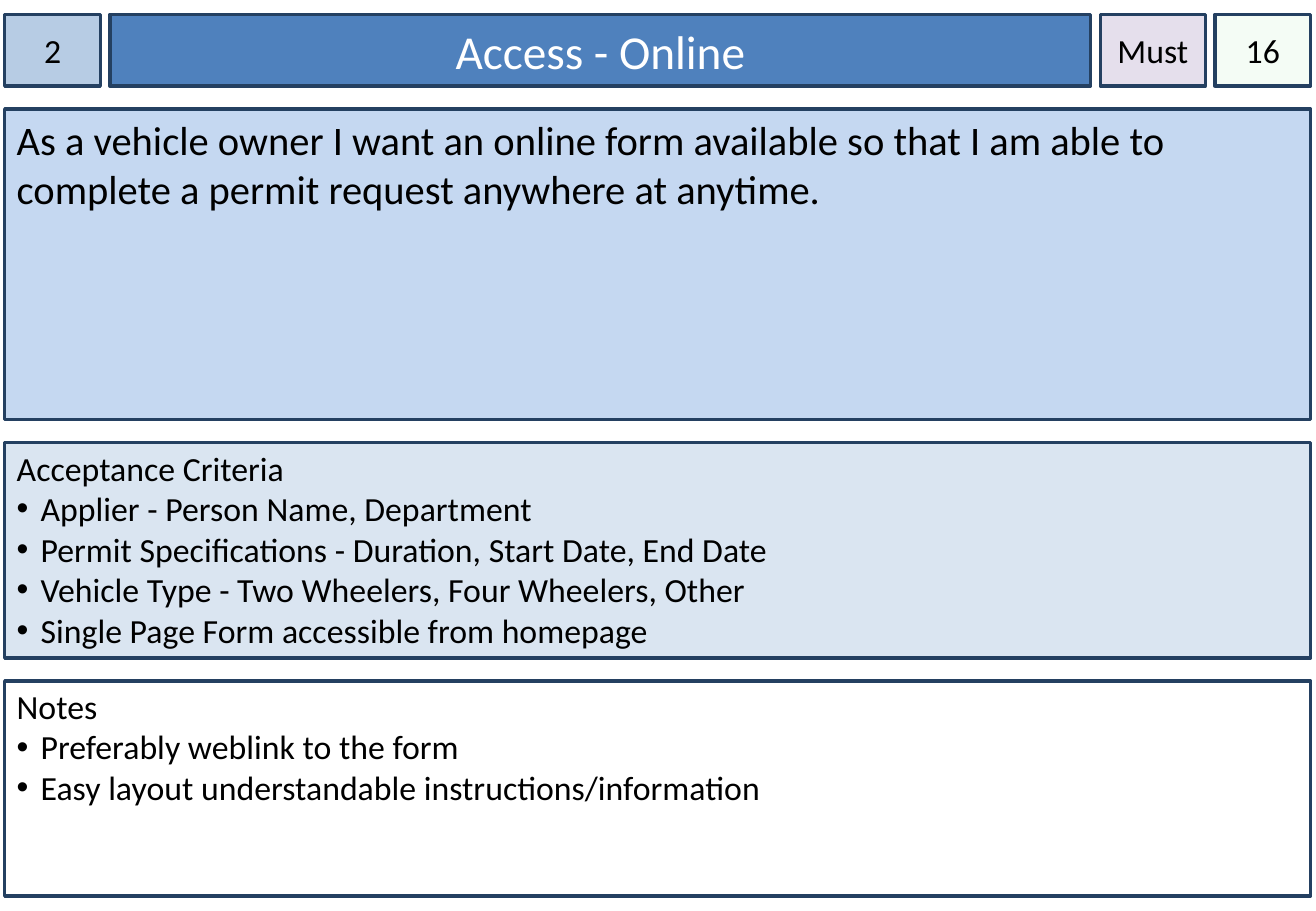
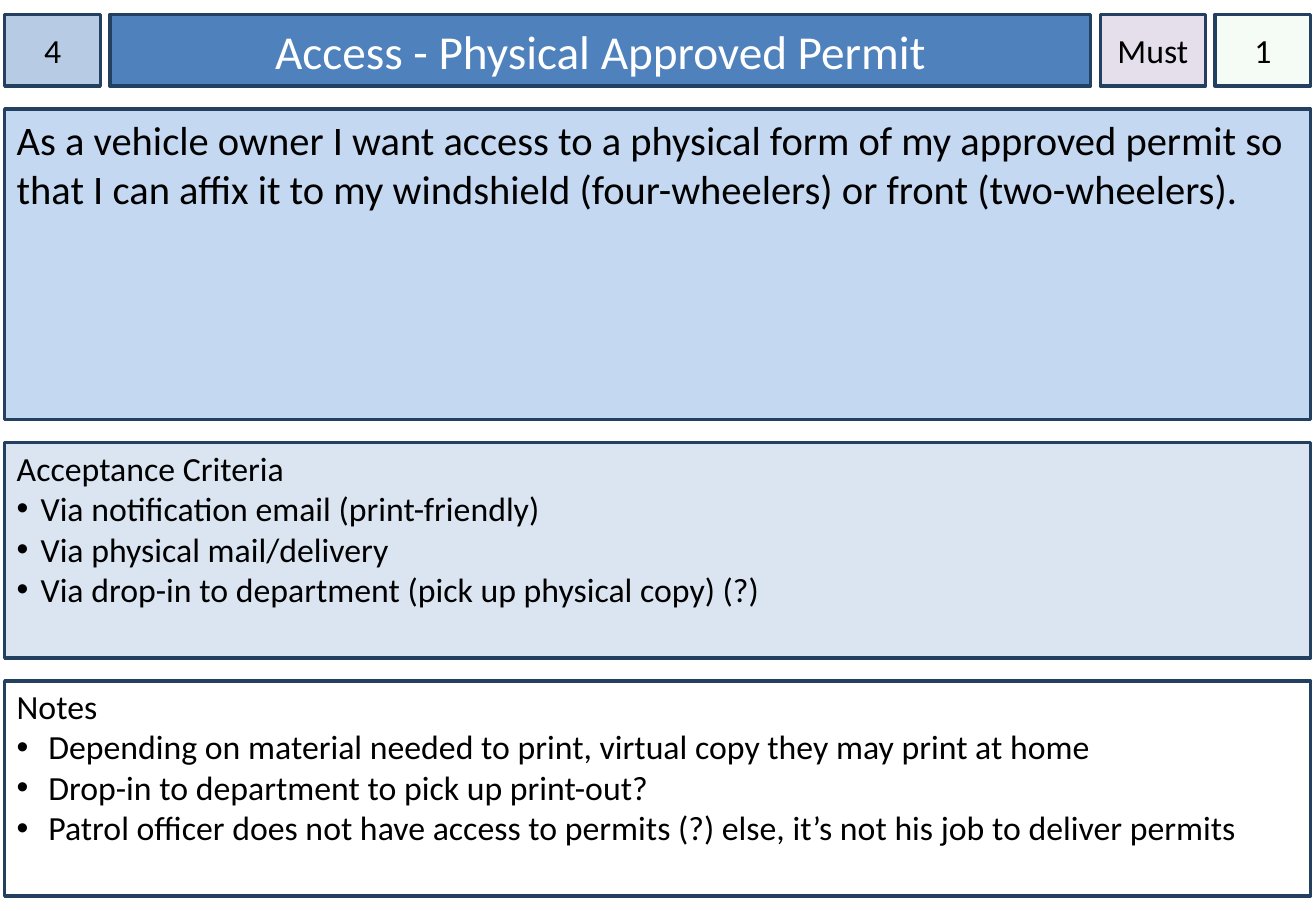
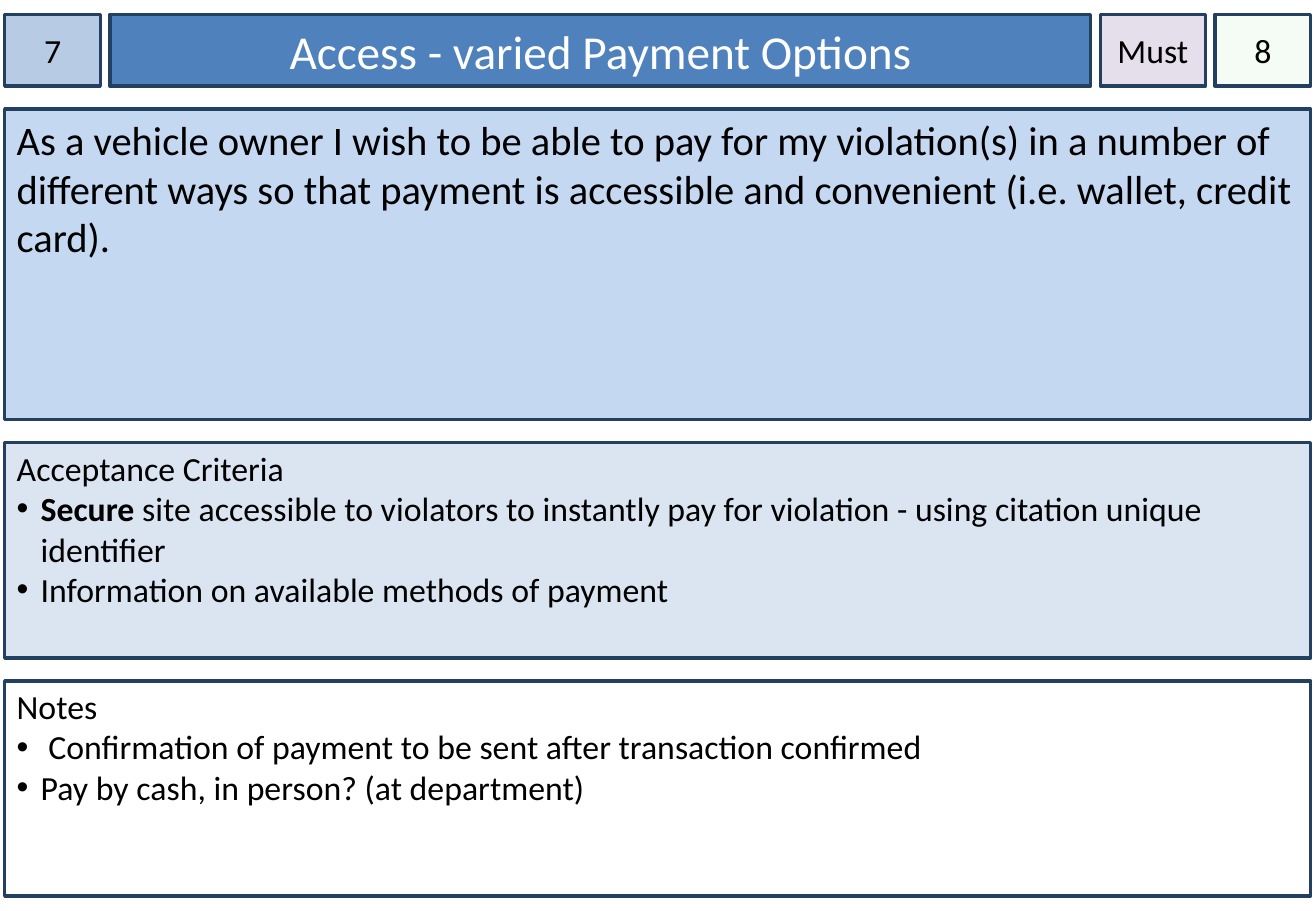
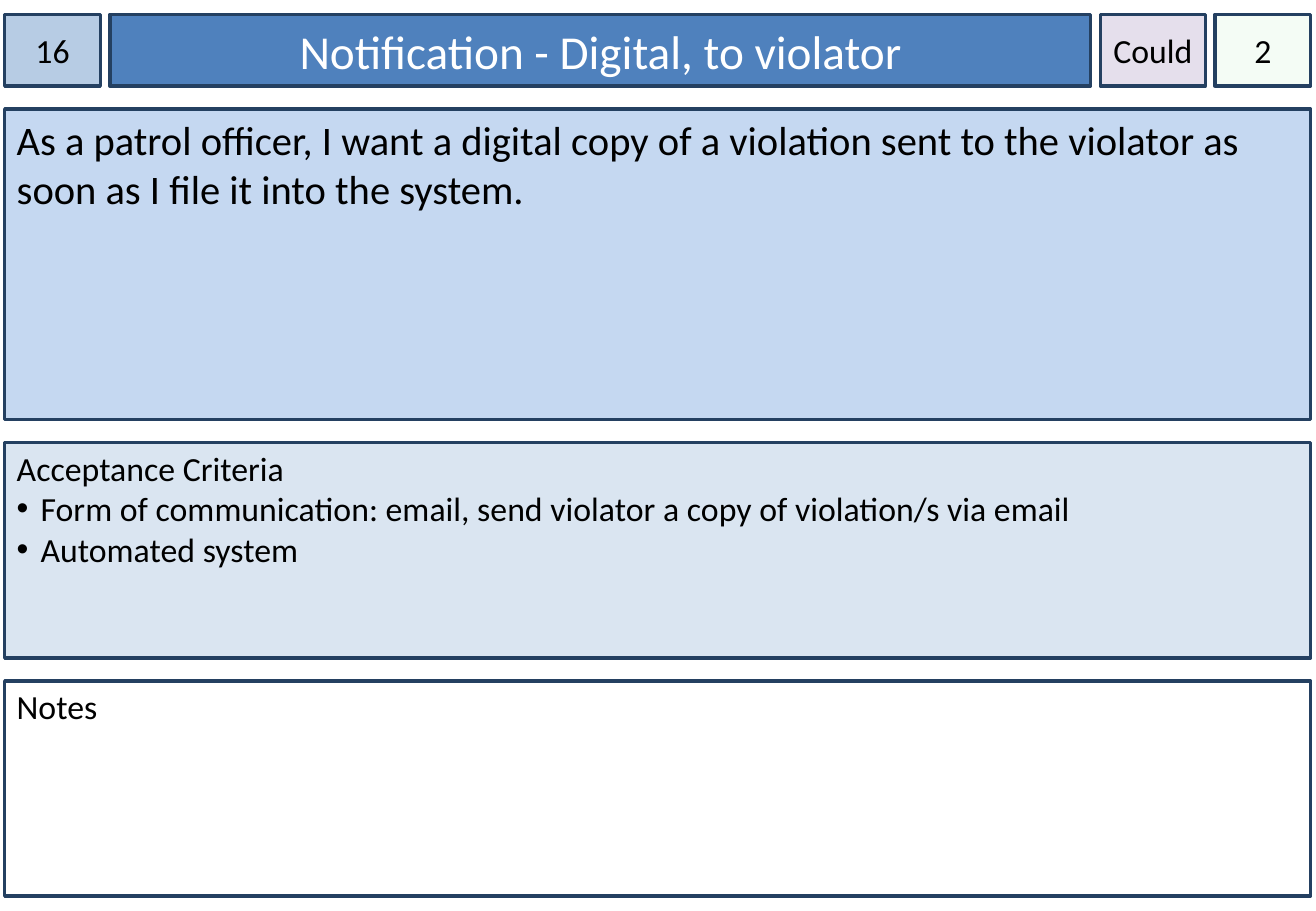
import dataclasses

import lxml.etree
import pptx
import pptx.dml.color
import pptx.enum.shapes
import pptx.enum.text
import pptx.oxml.ns
import pptx.util

Cm = pptx.util.Cm
ALIGN = pptx.enum.text.PP_ALIGN
ANCHOR = pptx.enum.text.MSO_ANCHOR


@dataclasses.dataclass(frozen=True)
class Theme:
    # Colours
    outline: str = "244061"
    number: str = "B7CCE4"
    title: str = "4F81BD"
    priority: str = "E5DFEC"
    estimate: str = "CCF0CD"
    story: str = "C5D8F1"
    criteria: str = "DAE5F1"
    paper: str = "FFFFFF"
    ink: str = "000000"
    # Type
    font: str = "Calibri"
    title_size: int = 28
    story_size: int = 24
    body_size: int = 20


@dataclasses.dataclass(frozen=True)
class Bullet:
    text: str
    lead: str = ""  # bold opening words
    indent: float = 0.5


@dataclasses.dataclass(frozen=True)
class Story:
    number: str
    title: str
    priority: str
    estimate: str
    text: str
    criteria: tuple
    notes: tuple = ()


THEME = Theme()

# Grid in centimetres
PAGE_WIDTH, PAGE_HEIGHT = 27.51, 19.05
LEFT, TOP = 0.1, 0.3
COLUMN_GAP, ROW_GAP = 0.2, 0.48
HEADER_WIDTHS = (2.0, 20.5, 2.2, 2.0)
FULL_WIDTH = sum(HEADER_WIDTHS) + COLUMN_GAP * (len(HEADER_WIDTHS) - 1)
ROW_HEIGHTS = (1.5, 6.5, 4.5, 4.5)


def starts(first, lengths, gap):
    """Return the start of each length, laid end to end with equal gaps."""
    return [first + sum(lengths[:i]) + gap * i for i in range(len(lengths))]


def rgb(colour):
    return pptx.dml.color.RGBColor.from_string(colour)


def add_span(para, text, size=THEME.body_size, colour=THEME.ink, bold=False):
    span = para.add_run()
    span.text = text
    span.font.name = THEME.font
    span.font.size = pptx.util.Pt(size)
    span.font.bold = bold
    span.font.color.rgb = rgb(colour)


def add_element(parent, tag, **attributes):
    return lxml.etree.SubElement(parent, pptx.oxml.ns.qn(tag), **attributes)


class CardDeck:
    def __init__(self):
        self.deck = pptx.Presentation()
        self.deck.slide_width = Cm(PAGE_WIDTH)
        self.deck.slide_height = Cm(PAGE_HEIGHT)
        self.page = None

    def add_page(self):
        self.page = self.deck.slides.add_slide(self.deck.slide_layouts[6])

    def add_panel(self, left, top, width, height, fill, opacity=100,
                  anchor=ANCHOR.TOP, side=0.25, inset_top=0.13):
        """Add an outlined rectangle and return its text frame."""
        box = self.page.shapes.add_shape(
            pptx.enum.shapes.MSO_SHAPE.RECTANGLE,
            Cm(left), Cm(top), Cm(width), Cm(height))
        box.shadow.inherit = False
        box.fill.solid()
        box.fill.fore_color.rgb = rgb(fill)
        if opacity < 100:
            colour = box.fill._xPr.find(".//" + pptx.oxml.ns.qn("a:srgbClr"))
            add_element(colour, "a:alpha", val=str(opacity * 1000))
        box.line.color.rgb = rgb(THEME.outline)
        box.line.width = pptx.util.Pt(2)
        frame = box.text_frame
        frame.word_wrap = True
        frame.vertical_anchor = anchor
        frame.margin_left = frame.margin_right = Cm(side)
        frame.margin_top, frame.margin_bottom = Cm(inset_top), Cm(0.13)
        frame.paragraphs[0].alignment = ALIGN.LEFT
        return frame

    def add_label(self, left, width, text, fill, side=0, opacity=100, **style):
        """Add a centred box in the header row."""
        frame = self.add_panel(left, TOP, width, ROW_HEIGHTS[0], fill,
                               opacity, ANCHOR.MIDDLE, side)
        para = frame.paragraphs[0]
        para.alignment = ALIGN.CENTER
        add_span(para, text, **style)

    def add_bullet(self, frame, bullet):
        para = frame.add_paragraph()
        para.alignment = ALIGN.LEFT
        properties = para._p.get_or_add_pPr()
        properties.set("marL", str(Cm(bullet.indent)))
        properties.set("indent", str(-Cm(bullet.indent)))
        colour = add_element(properties, "a:buClr")
        add_element(colour, "a:srgbClr", val=THEME.ink)
        add_element(properties, "a:buFont", typeface="Arial")
        add_element(properties, "a:buChar", char="•")
        if bullet.lead:
            add_span(para, bullet.lead, bold=True)
        add_span(para, bullet.text)

    def add_list(self, top, height, heading, bullets, fill):
        frame = self.add_panel(LEFT, top, FULL_WIDTH, height, fill,
                               inset_top=0.1)
        add_span(frame.paragraphs[0], heading)
        for bullet in bullets:
            self.add_bullet(frame, bullet)

    def add_story(self, story):
        self.add_page()
        # Header row
        labels = (
            dict(text=story.number, fill=THEME.number),
            dict(text=story.title, fill=THEME.title, side=0.25,
                 size=THEME.title_size, colour=THEME.paper),
            dict(text=story.priority, fill=THEME.priority),
            dict(text=story.estimate, fill=THEME.estimate, opacity=20),
        )
        lefts = starts(LEFT, HEADER_WIDTHS, COLUMN_GAP)
        for left, width, label in zip(lefts, HEADER_WIDTHS, labels):
            self.add_label(left, width, **label)
        # Story, criteria and notes
        _, story_top, criteria_top, notes_top = starts(TOP, ROW_HEIGHTS, ROW_GAP)
        _, story_height, criteria_height, notes_height = ROW_HEIGHTS
        frame = self.add_panel(LEFT, story_top, FULL_WIDTH, story_height,
                               THEME.story)
        add_span(frame.paragraphs[0], story.text, size=THEME.story_size)
        self.add_list(criteria_top, criteria_height, "Acceptance Criteria",
                      story.criteria, THEME.criteria)
        self.add_list(notes_top, notes_height, "Notes", story.notes, THEME.paper)


WIDE = 0.66  # deeper bullet indent

STORIES = (
    Story(
        "2", "Access - Online", "Must", "16",
        "As a vehicle owner I want an online form available so that I am able "
        "to complete a permit request anywhere at anytime.",
        criteria=(
            Bullet("Applier - Person Name, Department"),
            Bullet("Permit Specifications - Duration, Start Date, End Date"),
            Bullet("Vehicle Type - Two Wheelers, Four Wheelers, Other"),
            Bullet("Single Page Form accessible from homepage"),
        ),
        notes=(
            Bullet("Preferably weblink to the form"),
            Bullet("Easy layout understandable instructions/information"),
        ),
    ),
    Story(
        "4", "Access - Physical Approved Permit", "Must", "1",
        "As a vehicle owner I want access to a physical form of my approved "
        "permit so that I can affix it to my windshield (four-wheelers) or "
        "front (two-wheelers).",
        criteria=(
            Bullet("Via notification email (print-friendly)"),
            Bullet("Via physical mail/delivery"),
            Bullet("Via drop-in to department (pick up physical copy) (?)"),
        ),
        notes=(
            Bullet("Depending on material needed to print, virtual copy they "
                   "may print at home", indent=WIDE),
            Bullet("Drop-in to department to pick up print-out?", indent=WIDE),
            Bullet("Patrol officer does not have access to permits (?) else, "
                   "it’s not his job to deliver permits", indent=WIDE),
        ),
    ),
    Story(
        "7", "Access - varied Payment Options", "Must", "8",
        "As a vehicle owner I wish to be able to pay for my violation(s) in a "
        "number of different ways so that payment is accessible and convenient "
        "(i.e. wallet, credit card).",
        criteria=(
            Bullet(" site accessible to violators to instantly pay for "
                   "violation - using citation unique identifier",
                   lead="Secure"),
            Bullet("Information on available methods of payment"),
        ),
        notes=(
            Bullet("Confirmation of payment to be sent after transaction "
                   "confirmed", indent=WIDE),
            Bullet("Pay by cash, in person? (at department)"),
        ),
    ),
    Story(
        "16", "Notification - Digital, to violator", "Could", "2",
        "As a patrol officer, I want a digital copy of a violation sent to the "
        "violator as soon as I file it into the system.",
        criteria=(
            Bullet("Form of communication: email, send violator a copy of "
                   "violation/s via email"),
            Bullet("Automated system"),
        ),
    ),
)


def main():
    cards = CardDeck()
    for story in STORIES:
        cards.add_story(story)
    cards.deck.save("out.pptx")


if __name__ == "__main__":
    main()
